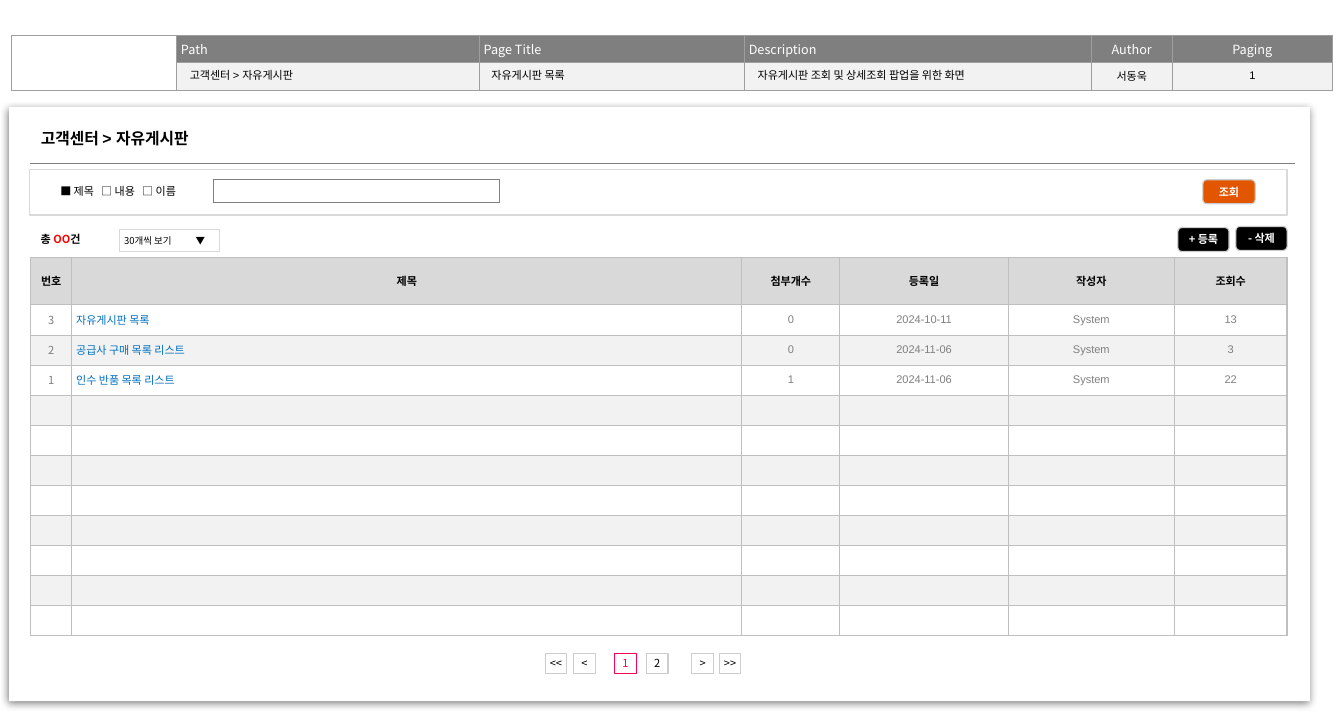
"""Build the free board list screen of a customer centre."""
from dataclasses import dataclass
from typing import Any

import pptx
import pptx.dml.color
import pptx.enum.shapes
import pptx.enum.text
import pptx.oxml.ns
import pptx.util
from lxml import etree

Inches = pptx.util.Inches
qn = pptx.oxml.ns.qn
ALIGN = pptx.enum.text.PP_ALIGN
ANCHOR = pptx.enum.text.MSO_ANCHOR
SHAPE = pptx.enum.shapes.MSO_SHAPE
NOTO = "Noto Sans CJK KR"
ALL_SIDES = "LRTB"


@dataclass(frozen=True)
class Style:
    size: float = 7
    font: str = "Arial"
    colour: str = "000000"
    bold: bool = False
    align: Any = ALIGN.LEFT


@dataclass(frozen=True)
class Box:
    left: float
    top: float
    width: float
    height: float


@dataclass(frozen=True)
class Label:
    text: str
    box: Box
    style: Style = Style()


@dataclass(frozen=True)
class Button:
    text: str
    box: Box
    style: Style
    fill: str | None = None
    line: str = "CCCCCC"
    kind: Any = SHAPE.RECTANGLE


BANNER = Style(8, NOTO, "FFFFFF")
BANNER_CENTRE = Style(8, NOTO, "FFFFFF", align=ALIGN.CENTER)
CENTRE = Style(align=ALIGN.CENTER)
LIST_HEAD = Style(bold=True, align=ALIGN.CENTER)
NUMBER = Style(7, NOTO, "7F7F7F", align=ALIGN.CENTER)
LINK = Style(7, NOTO, "0070C0")
VALUE = Style(colour="7F7F7F", align=ALIGN.CENTER)
WRITER = Style(colour="808080", align=ALIGN.CENTER)
ACTION = Style(7, NOTO, "FFFFFF", True, ALIGN.CENTER)
PAGE = Style(7, NOTO, align=ALIGN.CENTER)
CURRENT_PAGE = Style(7, NOTO, "FD004E", align=ALIGN.CENTER)

BANNER_HEADS = [("", BANNER), ("Path", BANNER), ("Page Title", BANNER),
                ("Description", BANNER), ("Author", BANNER_CENTRE), ("Paging", BANNER_CENTRE)]
BANNER_SIDES = [ALL_SIDES] * 5 + ["LTB", "TB", "RTB"]
DETAILS = [
    Label("자유게시판 목록", Box(4.22, 0.55, 2.25, 0.22)),
    Label("자유게시판 조회 및 상세조회 팝업을 위한 화면", Box(6.56, 0.55, 3.02, 0.22)),
    Label("서동욱", Box(9.62, 0.56, 0.65, 0.22), CENTRE),
    Label("1", Box(10.37, 0.55, 1.27, 0.22), CENTRE),
    Label("고객센터 > 자유게시판", Box(1.57, 0.55, 2.63, 0.22)),
]
POSTS = [
    ["번호", "제목", "첨부개수", "등록일", "작성자", "조회수"],
    ["3", "자유게시판 목록", "0", "2024-10-11", "System", "13"],
    ["2", "공급사 구매 목록 리스트", "0", "2024-11-06", "System", "3"],
    ["1", "인수 반품 목록 리스트", "1", "2024-11-06", "System", "22"],
]
POST_STYLES = [NUMBER, LINK, VALUE, VALUE, WRITER, VALUE]
POST_ROWS = 11
ACTIONS = [
    Button("조회", Box(10.57, 1.58, 0.46, 0.21), ACTION, "E35600", kind=SHAPE.ROUNDED_RECTANGLE),
    Button("+ 등록", Box(10.35, 2, 0.45, 0.21), ACTION, "000000", kind=SHAPE.ROUNDED_RECTANGLE),
    Button("- 삭제", Box(10.86, 1.99, 0.45, 0.21), ACTION, "000000", kind=SHAPE.ROUNDED_RECTANGLE),
]
PAGES = {"<<": 4.79, "<": 5.04, "1": 5.4, "2": 5.68, ">": 6.08, ">>": 6.32}


def rgb(colour: str) -> pptx.dml.color.RGBColor:
    return pptx.dml.color.RGBColor.from_string(colour)


def place(box: Box) -> list[int]:
    return [Inches(side) for side in (box.left, box.top, box.width, box.height)]


def write(paragraph: Any, text: str, style: Style) -> None:
    paragraph.alignment = style.align
    run = paragraph.add_run()
    run.text = text
    run.font.size = pptx.util.Pt(style.size)
    run.font.bold = style.bold
    run.font.color.rgb = rgb(style.colour)
    run.font.name = style.font
    etree.SubElement(run.font._element, qn("a:ea"), typeface=NOTO)


def set_tabs(paragraph: Any, stops: list[float]) -> None:
    tabs = etree.SubElement(paragraph._p.get_or_add_pPr(), qn("a:tabLst"))
    for stop in stops:
        etree.SubElement(tabs, qn("a:tab"), pos=str(Inches(stop)), algn="l")


def set_margins(part: Any, left: float, top: float, right: float, bottom: float) -> None:
    part.margin_left, part.margin_top = Inches(left), Inches(top)
    part.margin_right, part.margin_bottom = Inches(right), Inches(bottom)


def set_cell(cell: Any, text: str = "", style: Style = Style(), fill: str | None = None,
             line: str = "808080", weight: float = 0.25, sides: str = "",
             tabs: tuple[float, ...] = ()) -> None:
    for side in ALL_SIDES:
        edge = etree.SubElement(cell._tc.get_or_add_tcPr(), qn(f"a:ln{side}"))
        if side in sides:
            edge.set("w", str(pptx.util.Pt(weight)))
            paint = etree.SubElement(edge, qn("a:solidFill"))
            etree.SubElement(paint, qn("a:srgbClr"), val=line)
        else:
            etree.SubElement(edge, qn("a:noFill"))
    if fill:
        cell.fill.solid()
        cell.fill.fore_color.rgb = rgb(fill)
    else:
        cell.fill.background()
    set_margins(cell, 0.04, 0.04, 0.04, 0.04)
    cell.vertical_anchor = ANCHOR.MIDDLE
    paragraph = cell.text_frame.paragraphs[0]
    if text:
        set_tabs(paragraph, list(tabs))
        write(paragraph, text, style)
    else:
        etree.SubElement(paragraph._p, qn("a:endParaRPr"), sz="700")


def add_grid(shapes: Any, left: float, top: float, widths: list[float], heights: list[float]) -> Any:
    box = Box(left, top, sum(widths), sum(heights))
    table = shapes.add_table(len(heights), len(widths), *place(box)).table
    table.first_row = table.horz_banding = False
    for column, width in zip(table.columns, widths):
        column.width = Inches(width)
    for row, height in zip(table.rows, heights):
        row.height = Inches(height)
    return table


def add_text(shapes: Any, box: Box, margins: tuple[float, float]) -> Any:
    frame = shapes.add_textbox(*place(box)).text_frame
    frame.word_wrap = True
    frame.auto_size = pptx.enum.text.MSO_AUTO_SIZE.SHAPE_TO_FIT_TEXT
    across, down = margins
    set_margins(frame, across, down, across, down)
    return frame.paragraphs[0]


def add_button(shapes: Any, button: Button) -> Any:
    shape = shapes.add_shape(button.kind, *place(button.box))
    shape.shadow.inherit = False
    if button.fill:
        shape.fill.solid()
        shape.fill.fore_color.rgb = rgb(button.fill)
    else:
        shape.fill.background()
    shape.line.color.rgb = rgb(button.line)
    shape.line.width = pptx.util.Pt(0.75)
    set_margins(shape.text_frame, 0, 0, 0, 0)
    shape.text_frame.vertical_anchor = ANCHOR.MIDDLE
    if button.text:
        write(shape.text_frame.paragraphs[0], button.text, button.style)
    return shape


def add_banner(shapes: Any) -> None:
    banner = add_grid(shapes, 0.1, 0.31, [1.45, 2.66, 2.33, 3.05, 0.71, 0.45, 0.44, 0.52], [0.24, 0.24])
    for column, sides in enumerate(BANNER_SIDES):
        text, style = BANNER_HEADS[min(column, 5)] if column < 6 else ("", BANNER)
        heading = "7F7F7F" if column else "FFFFFF"
        detail = "F2F2F2" if column else "FFFFFF"
        set_cell(banner.cell(0, column), text, style, heading, "9E9E9E", 0.75, ALL_SIDES)
        set_cell(banner.cell(1, column), "", style, detail, "9E9E9E", 0.75, sides)
    banner.cell(0, 0).merge(banner.cell(1, 0))
    banner.cell(0, 5).merge(banner.cell(0, 7))


def add_panel(shapes: Any) -> None:
    panel = add_button(shapes, Button("", Box(0.08, 0.94, 11.43, 5.22), PAGE, "FFFFFF",
                                      kind=SHAPE.ROUNDED_RECTANGLE))
    panel.adjustments[0] = 0
    panel.line.fill.background()
    effects = panel._element.spPr.find(qn("a:effectLst"))
    shadow = etree.SubElement(effects, qn("a:outerShdw"), blurRad=str(pptx.util.Pt(4.5)),
                              dist=str(pptx.util.Pt(1.5)), dir="5400000", algn="t", rotWithShape="0")
    tint = etree.SubElement(shadow, qn("a:srgbClr"), val="000000")
    etree.SubElement(tint, qn("a:alpha"), val="49000")


def add_posts(shapes: Any) -> None:
    heights = [0.42] + [(3.33 - 0.42) / POST_ROWS] * POST_ROWS
    posts = add_grid(shapes, 0.27, 2.26, [0.36, 5.89, 0.86, 1.48, 1.46, 0.99], heights)
    for row in range(POST_ROWS + 1):
        fill = "D9D9D9" if row == 0 else ("F2F2F2", "FFFFFF")[row % 2]
        for column, style in enumerate(POST_STYLES):
            text = POSTS[row][column] if row < len(POSTS) else ""
            set_cell(posts.cell(row, column), text, style if row else LIST_HEAD,
                     fill, "BFBFBF", 0.75, ALL_SIDES)


def add_search(shapes: Any) -> None:
    title = add_grid(shapes, 0.26, 0.98, [11.12], [0.45]).cell(0, 0)
    set_cell(title, "고객센터 > 자유게시판", Style(10, bold=True), sides="B")
    set_margins(title, 0.1, 0.05, 0.1, 0.12)
    title.vertical_anchor = ANCHOR.BOTTOM

    search = add_grid(shapes, 0.29, 1.57, [0.17, 1.41, 2.52, 2.62, 0.64, 2.51], [0.21])
    for column, sides in enumerate(["", "R", ALL_SIDES, "L", "", ""]):
        text = "■ 제목\t□ 내용\t□ 이름" if column == 1 else ""
        set_cell(search.cell(0, column), text, sides=sides, tabs=(0.36, 0.72))
    search.cell(0, 1).margin_left = Inches(0.07)
    add_button(shapes, Button("", Box(0.26, 1.49, 11.05, 0.4), PAGE, line="D9D9D9"))

    page_size = add_grid(shapes, 1.05, 2.02, [0.88], [0.19]).cell(0, 0)
    set_cell(page_size, "30개씩 보기\t▼", Style(6, NOTO), "FFFFFF", "D9D9D9", 0.75, ALL_SIDES, (0.63,))
    set_margins(page_size, 0.04, 0.02, 0.02, 0.02)

    total = add_text(shapes, Box(0.26, 1.97, 0.74, 0.33), (0.1, 0.1))
    total.line_spacing = 1.1
    for text, colour in (("총", "000000"), (" OO", "FF0000"), ("건", "000000")):
        write(total, text, Style(7, NOTO, colour, True))


def main() -> None:
    deck = pptx.Presentation()
    deck.slide_width, deck.slide_height = Inches(11.81), Inches(6.3)
    shapes = deck.slides.add_slide(deck.slide_layouts[6]).shapes
    add_banner(shapes)
    add_panel(shapes)
    for detail in DETAILS:
        write(add_text(shapes, detail.box, (0.1, 0.05)), detail.text, detail.style)
    add_posts(shapes)
    pager = shapes.add_group_shape().shapes
    for text, left in PAGES.items():
        style, line = (CURRENT_PAGE, "FD004E") if text == "1" else (PAGE, "CCCCCC")
        add_button(pager, Button(text, Box(left, 5.74, 0.19, 0.18), style, line=line))
    add_search(shapes)
    for action in ACTIONS:
        add_button(shapes, action)
    deck.save("out.pptx")


if __name__ == "__main__":
    main()
